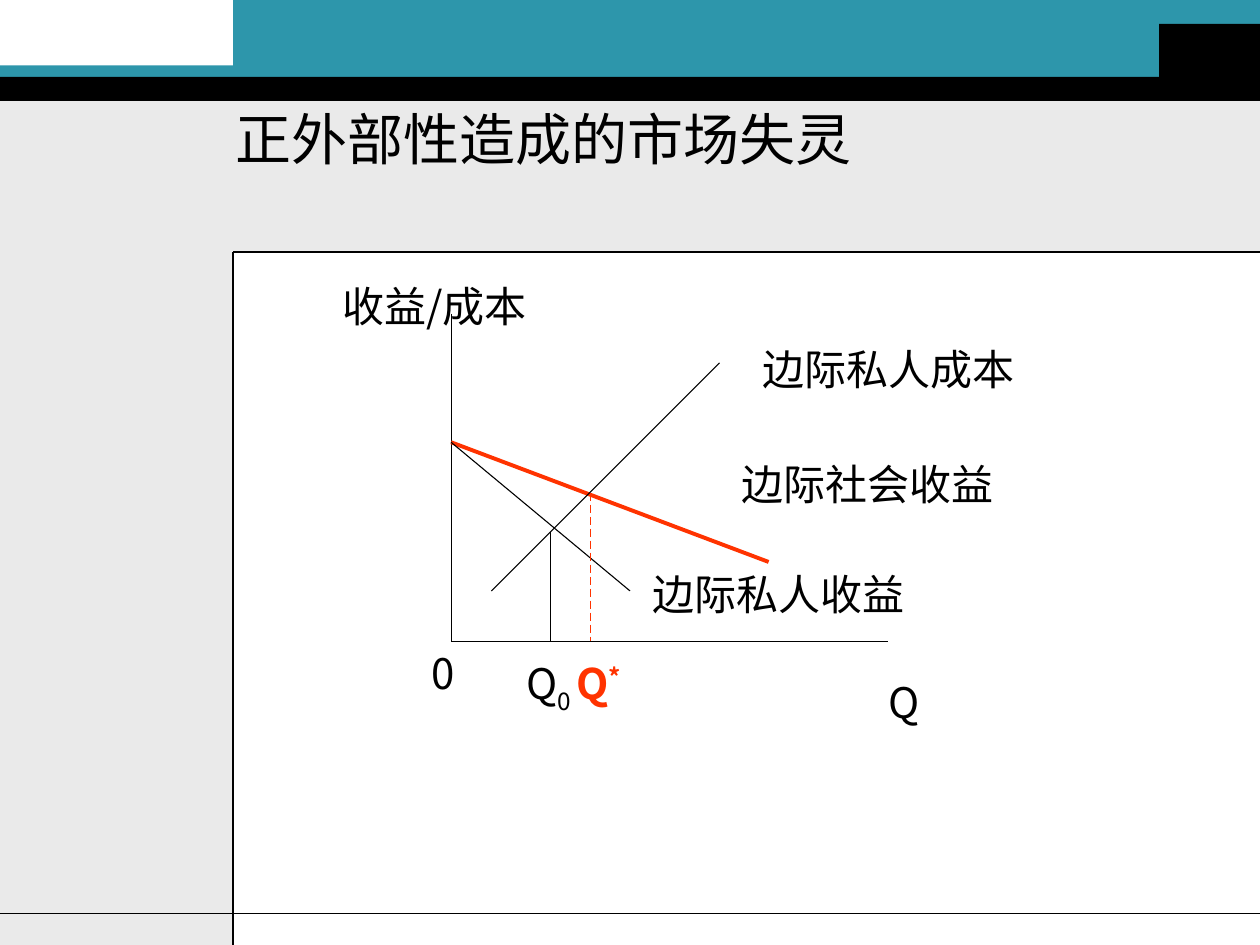
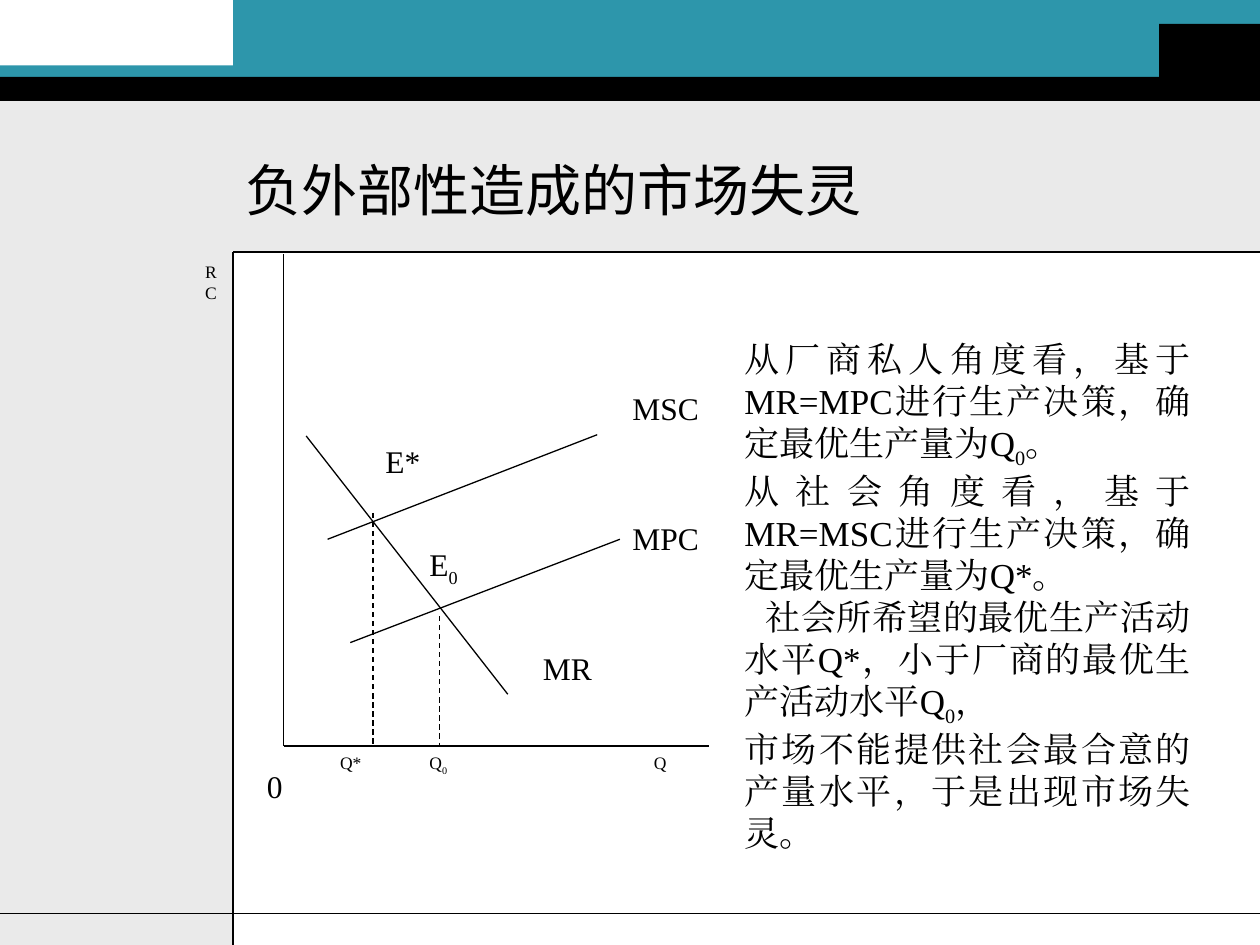
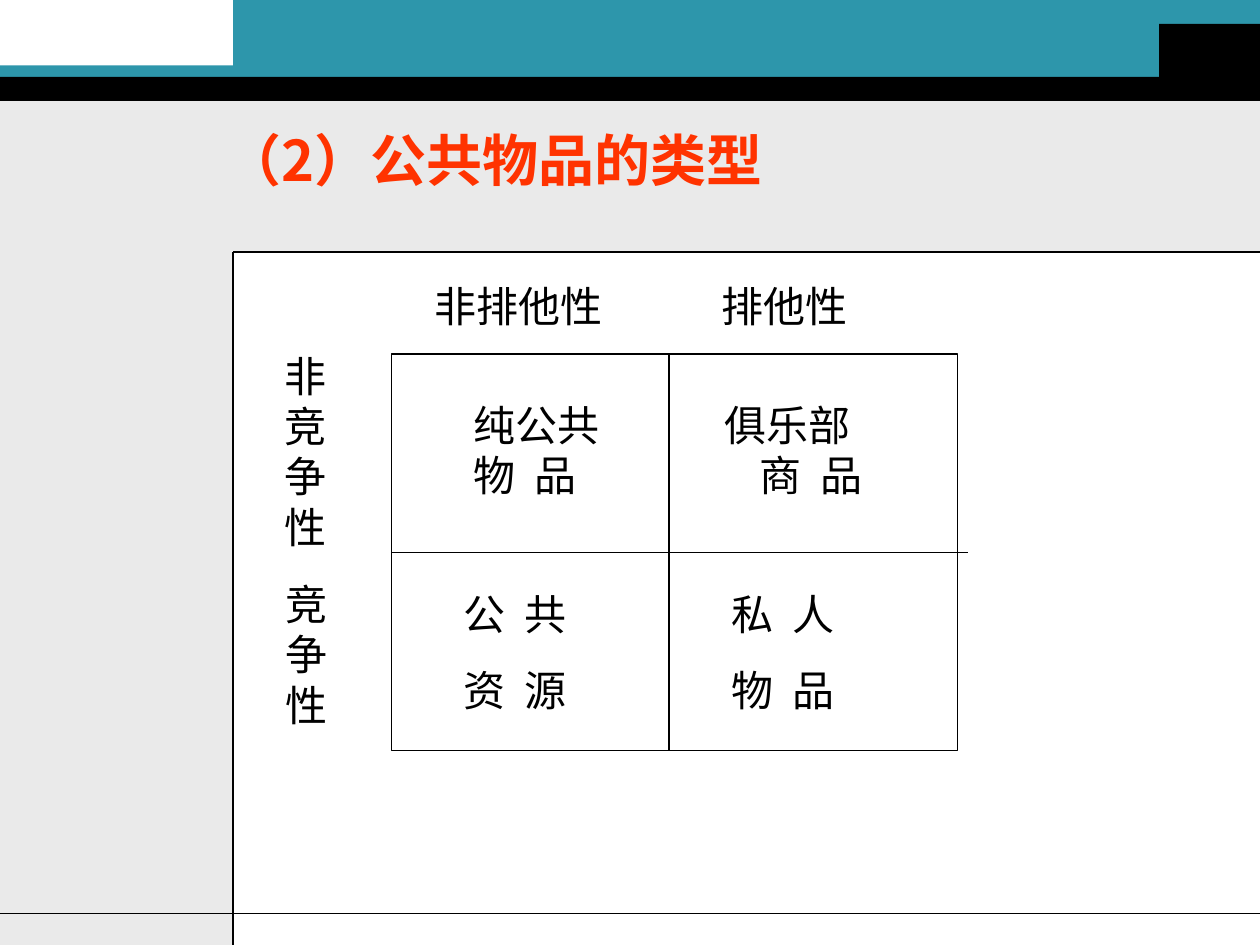
import lxml.etree
import pptx
import pptx.dml.color
import pptx.enum.dml
import pptx.enum.shapes
import pptx.enum.text
import pptx.oxml.ns
import pptx.util

tint = pptx.dml.color.RGBColor.from_string
qn = pptx.oxml.ns.qn
Align = pptx.enum.text.PP_ALIGN
Dash = pptx.enum.dml.MSO_LINE
RECT = pptx.enum.shapes.MSO_SHAPE.RECTANGLE
SANS, HEAD, SERIF = "Noto Sans CJK SC", "Noto Sans CJK KR", "Times New Roman"
BLACK, RED, TEAL, GRAY, WHITE = "000000", "FF3300", "2D96AB", "EAEAEA", "FFFFFF"
SUB, SUP = {"base": -25}, {"base": 30}

deck = pptx.Presentation()
deck.slide_width = pptx.util.Inches(10)
deck.slide_height = pptx.util.Inches(7.5)
unit = deck.slide_width // 10
wide, high = 10, 7.5
side, top, foot = 1.85, 2, 7.25


def rule(slide, ends, color=BLACK, width=0.75, dash=None):
    line = slide.shapes.add_connector(
        pptx.enum.shapes.MSO_CONNECTOR.STRAIGHT, *[int(n * unit) for n in ends])
    line.line.color.rgb = tint(color)
    line.line.width = pptx.util.Pt(width)
    if dash:
        line.line.dash_style = dash
    lxml.etree.SubElement(line.element.spPr, qn("a:effectLst"))
    return line


def write(slide, spot, paras, title=False, size=24, face=SANS, color=BLACK,
          bold=False, align=Align.LEFT, wrap=False, gap=0, spread=0):
    spot = [int(n * unit) for n in spot]
    if title:
        box = slide.shapes.title
        box.left, box.top, box.width, box.height = spot
    else:
        box = slide.shapes.add_textbox(*spot)
    frame = box.text_frame
    frame.word_wrap = wrap
    frame.auto_size = pptx.enum.text.MSO_AUTO_SIZE.NONE
    if title:
        frame.vertical_anchor = pptx.enum.text.MSO_ANCHOR.MIDDLE
    for i, runs in enumerate([paras] if isinstance(paras, str) else paras):
        para = frame.add_paragraph() if i else frame.paragraphs[0]
        para.alignment = align
        if i and gap:
            para.space_before = pptx.util.Pt(gap)
        for part in [runs] if isinstance(runs, str) else runs:
            words, form = (part, {}) if isinstance(part, str) else part
            run = para.add_run()
            run.text = words
            font = run.font
            font.size = pptx.util.Pt(size)
            font.bold = form.get("bold", bold)
            font.color.rgb = tint(form.get("color", color))
            font.name = face
            props = run._r.get_or_add_rPr()
            lxml.etree.SubElement(props, qn("a:ea")).set("typeface", face)
            if "base" in form:
                props.set("baseline", str(form["base"] * 1000))
            if form.get("spread", spread):
                props.set("spc", str(int(form.get("spread", spread) * 100)))
    return box


plan = deck.slide_layouts[5]
for hold in list(plan.placeholders):
    if hold.placeholder_format.idx:
        hold.element.getparent().remove(hold.element)

gain, loss, goods = [deck.slides.add_slide(plan) for _ in range(3)]

bands = []
for x, y, w, h, color in [
    (0, top, side, high - top, GRAY),
    (0, 0.75, wide, 1.25, GRAY),
    (side, 0, wide - side, 0.61, TEAL),
    (0, 0.52, 3.13, 0.13, TEAL),
    (0, 0.61, wide, 0.19, BLACK),
    (9.2, 0.19, 0.8, 0.47, BLACK),
]:
    band = gain.shapes.add_shape(RECT, *[int(n * unit) for n in (x, y, w, h)])
    band.shadow.inherit = False
    band.fill.solid()
    band.fill.fore_color.rgb = tint(color)
    band.line.fill.background()
    bands.append(band)
for ends in [(side, top, wide, top), (side, top, side, high), (0, foot, wide, foot)]:
    bands.append(rule(gain, ends))
for band in bands:
    plan.shapes.element.append(band.element)

for slide, x, y, words, color, bold in [
    (gain, 1.77, 0.6, "正外部性造成的市场失灵", BLACK, False),
    (loss, 1.85, 1, "负外部性造成的市场失灵", BLACK, False),
    (goods, 1.69, 0.76, "（2）公共物品的类型", RED, True),
]:
    write(slide, (x, y, 7.33, 1), words, title=True, size=32, face=HEAD,
          color=color, bold=bold, wrap=True)

left, base, peak = 3.58, 5.09, 3.51
for ends, color, width, dash in [
    ((left, 2.49, left, base), BLACK, 0.62, None),
    ((left, base, 7.05, base), BLACK, 0.62, None),
    ((left, peak, 6.1, 4.46), RED, 2.25, None),
    ((left, peak, 5, 4.69), BLACK, 0.62, None),
    ((3.9, 4.69, 5.71, 2.88), BLACK, 0.62, None),
    ((4.37, 4.22, 4.37, base), BLACK, 0.62, None),
    ((4.69, 3.91, 4.69, base), RED, 0.62, Dash.LONG_DASH),
]:
    rule(gain, ends, color, width, dash)
star = {"color": RED, "bold": True}
for x, y, w, paras in [
    (3.33, 5.09, 0.4, "0"),
    (6.95, 5.32, 0.4, "Q"),
    (2.62, 2.18, 1.89, "收益/成本"),
    (5.79, 3.59, 2.2, "边际社会收益"),
    (5.08, 4.46, 2.2, "边际私人收益"),
    (4.08, 5.17, 1.03, [["Q", ("0 ", SUB), ("Q", star), ("*", star | SUP)]]),
    (5.95, 2.68, 2.2, "边际私人成本"),
]:
    write(gain, (x, y, w, 0.5), paras)

left, base = 2.25, 5.92
for ends in [
    (left, 2.02, left, base),
    (left, base, 5.63, base),
    (2.78, 5.1, 4.92, 4.28),
    (2.43, 3.46, 4.03, 5.51),
    (2.6, 4.28, 4.74, 3.45),
]:
    rule(loss, ends)
for x, y in [(2.96, 4.07), (3.49, 4.89)]:
    rule(loss, (x, y, x, base), dash=Dash.DASH)
for x, y, w, size, paras in [
    (2.6, base, 0.71, 10, "Q*"),
    (3.31, base, 0.71, 10, [["Q", ("0", SUB)]]),
    (3.31, 4.28, 0.71, 18, [["E", ("0", SUB)]]),
    (2.96, 3.46, 0.71, 18, "E*"),
    (4.92, 4.07, 0.89, 18, "MPC"),
    (4.92, 3.04, 1.07, 18, "MSC"),
    (4.21, 5.1, 0.89, 18, "MR"),
    (5.09, base, 0.89, 10, "Q"),
    (1.53, 2.02, 0.53, 10, ["R", "C"]),
    (2.02, 6.04, 0.71, 18, "0"),
]:
    write(loss, (x, y, w, 0.62), paras, size=size, face=SERIF,
          align=Align.JUSTIFY, wrap=True)
note = write(loss, (5.81, 2.63, 3.74, 3.9), [
    ["从厂商私人角度看，基于MR=MPC进行生产决策，确定最优生产量为Q", ("0", SUB), "。"],
    "从社会角度看，基于MR=MSC进行生产决策，确定最优生产量为Q*。",
    ["社会所希望的最优生产活动水平Q*，小于厂商的最优生产活动水平Q", ("0", SUB), "，"],
    "市场不能提供社会最合意的产量水平，于是出现市场失灵。",
], size=20, face=SERIF, align=Align.JUSTIFY, wrap=True)
note.text_frame.paragraphs[2]._p.get_or_add_pPr().set("indent", str(int(0.17 * unit)))

x, y, w, h = 3.11, 2.81, 4.49, 3.15
grid = goods.shapes.add_shape(RECT, *[int(n * unit) for n in (x, y, w, h)])
grid.shadow.inherit = False
grid.fill.solid()
grid.fill.fore_color.rgb = tint(WHITE)
grid.line.color.rgb = tint(BLACK)
grid.line.width = pptx.util.Pt(0.62)
split = rule(goods, (x, y + h / 2, 7.68, y + h / 2), width=0.62)
split.begin_connect(grid, 1)
rule(goods, (5.31, y, 5.31, y + h), width=0.62)

for x, y, w, h, paras in [
    (2.16, 2.73, 0.63, 1.7, list("非竞争性")),
    (2.17, 4.54, 0.53, 1.3, list("竞争性")),
    (3.35, 2.18, 1.53, 0.5, "非排他性"),
    (5.63, 2.18, 1.2, 0.5, "排他性"),
]:
    write(goods, (x, y, w, h), paras)
loose = {"spread": 2.7}
write(goods, (3.66, 3.12, 1.42, 0.9), [["纯公共", ("物 品", loose)]], wrap=True)
club = write(goods, (5.65, 3.12, 1.42, 0.9), ["俱乐部", [("商 品", loose)]], wrap=True)
club.text_frame.paragraphs[1]._p.get_or_add_pPr().set("marL", str(int(0.28 * unit)))
for x, paras in [(3.58, ["公 共", "资 源"]), (5.71, ["私 人", "物 品"])]:
    write(goods, (x, 4.62, 1.42, 1.11), paras, wrap=True, gap=15, spread=2.7)

deck.save("out.pptx")
